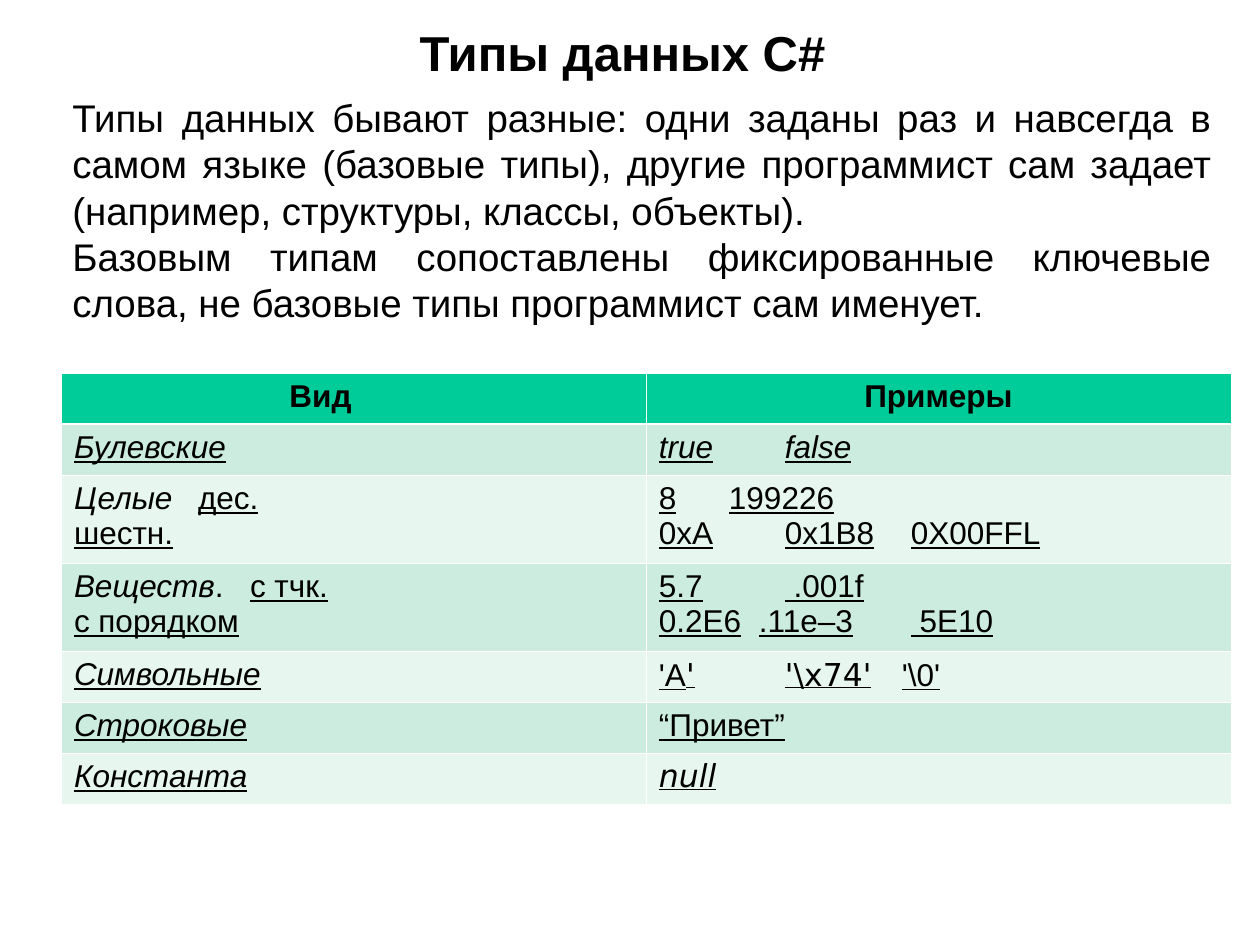
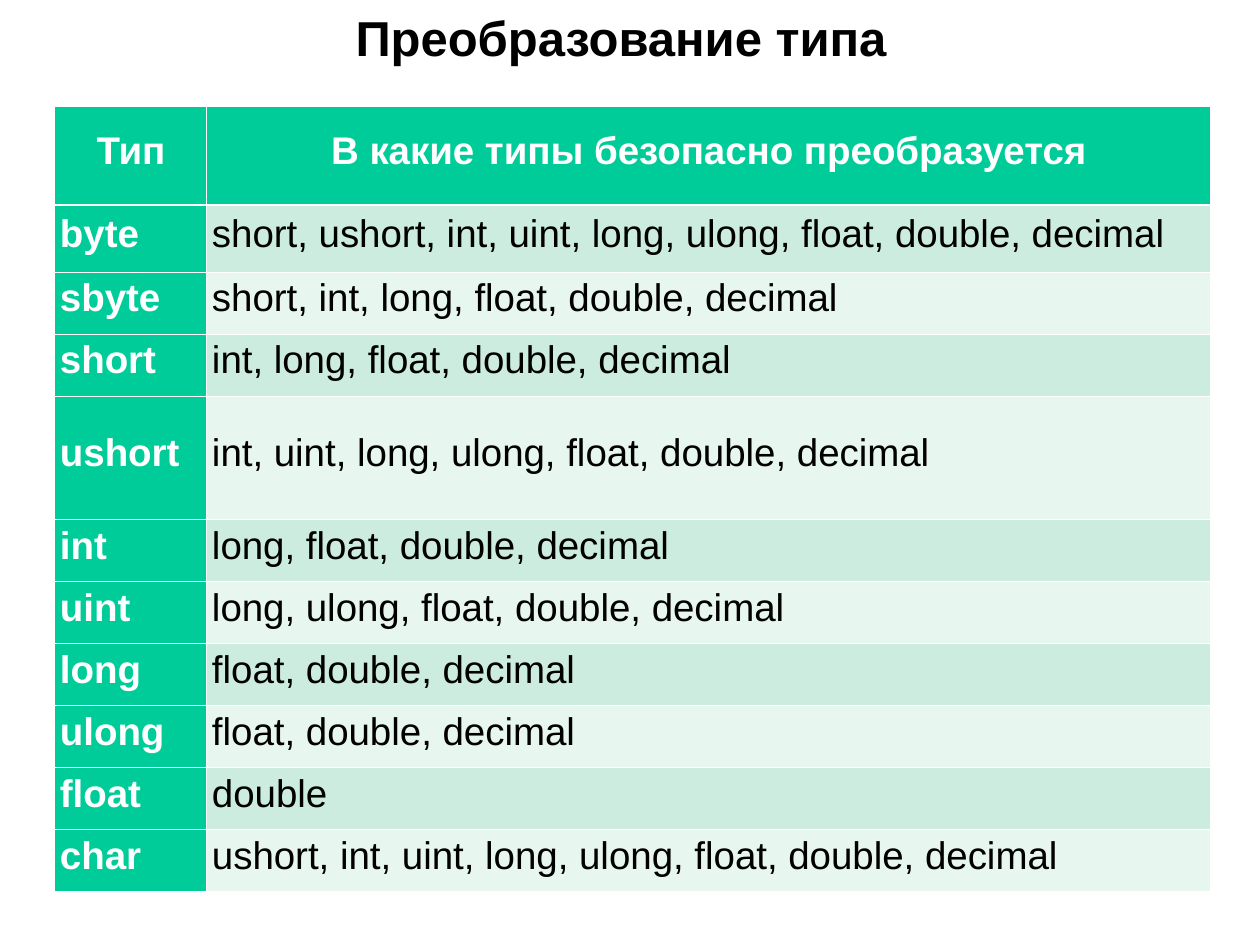
"""Build two slides on C# data types and safe type conversions."""

from dataclasses import dataclass
from typing import NamedTuple, Optional

import lxml.etree
import pptx
import pptx.dml.color
import pptx.enum.text
import pptx.oxml.ns
import pptx.util

PX_PER_INCH = 126
ALIGN = pptx.enum.text.PP_ALIGN
ANCHOR = pptx.enum.text.MSO_ANCHOR


@dataclass(frozen=True)
class Theme:
    """Colours, fonts, type sizes and line widths shared by the slides."""

    ink: str = "000000"
    paper: str = "FFFFFF"
    accent: str = "00CC99"
    bands: tuple[str, str] = ("CBECDE", "E7F6EF")
    font: str = "Arial"
    code_font: str = "DejaVu Sans"
    title_size: int = 28
    body_size: int = 22
    small_size: int = 18
    grid_width: float = 0.45
    header_rule_width: float = 1.47


THEME = Theme()


class Box(NamedTuple):
    """Position and size in px."""

    left: int
    top: int
    width: int
    height: int


class Run(NamedTuple):
    """A stretch of text with one format."""

    text: str
    bold: bool = False
    italic: bool = False
    underline: bool = False
    font: str = THEME.font
    color: str = THEME.ink


class Line(NamedTuple):
    """A paragraph and its tab stops in px."""

    runs: list[Run]
    tabs: tuple[int, ...] = ()


class CellText(NamedTuple):
    """The lines of a cell, their alignment and an extra right inset in px."""

    lines: list[Line]
    align: ALIGN = ALIGN.LEFT
    right_inset: int = 0


@dataclass(frozen=True)
class TableStyle:
    """Layout of a table's columns, insets and paragraphs."""

    columns: tuple[int, ...]
    insets: tuple[int, int, int, int]
    size: int
    anchor: ANCHOR = ANCHOR.TOP
    line_spacing: Optional[float] = None
    space_after: int = 0
    accent_first_column: bool = False


def px(length: int) -> pptx.util.Emu:
    """Convert px to EMU."""
    return pptx.util.Emu(round(length * pptx.util.Inches(1) / PX_PER_INCH))


def rgb(value: str) -> pptx.dml.color.RGBColor:
    """Convert a hex string to a colour."""
    return pptx.dml.color.RGBColor.from_string(value)


def add_child(parent, tag: str, **attributes: str):
    """Append an XML element with a prefixed tag."""
    return lxml.etree.SubElement(parent, pptx.oxml.ns.qn(tag), attributes)


def add_run(paragraph, run: Run, size: int) -> None:
    """Append one formatted run."""
    piece = paragraph.add_run()
    piece.text = run.text
    font = piece.font
    font.name, font.size = run.font, pptx.util.Pt(size)
    font.bold, font.italic, font.underline = run.bold, run.italic, run.underline
    font.color.rgb = rgb(run.color)


def write_lines(frame, lines: list[Line], size: int, align: ALIGN,
                line_spacing: Optional[float] = None, space_after: int = 0) -> None:
    """Fill a text frame, one paragraph a line."""
    for index, line in enumerate(lines):
        paragraph = frame.add_paragraph() if index else frame.paragraphs[0]
        if line.tabs:
            stops = add_child(paragraph._p.get_or_add_pPr(), "a:tabLst")
            for stop in line.tabs:
                add_child(stops, "a:tab", pos=str(px(stop)), algn="l")
        paragraph.alignment = align
        paragraph.space_before = pptx.util.Pt(0)
        paragraph.space_after = pptx.util.Pt(space_after)
        if line_spacing:
            paragraph.line_spacing = line_spacing
        for run in line.runs:
            add_run(paragraph, run, size)


def place(shape, box: Box) -> None:
    """Move and size a shape."""
    shape.left, shape.top, shape.width, shape.height = map(px, box)


def add_titled_slide(deck, title: str, box: Box, line_spacing: float = 1.0):
    """Add a title-only slide and format its title."""
    slide = deck.slides.add_slide(deck.slide_layouts[5])
    place(slide.shapes.title, box)
    frame = slide.shapes.title.text_frame
    frame.auto_size = pptx.enum.text.MSO_AUTO_SIZE.NONE
    frame.vertical_anchor = ANCHOR.MIDDLE
    write_lines(frame, [Line([Run(title, bold=True)])], THEME.title_size,
                ALIGN.CENTER, line_spacing)
    return slide


def add_borders(cell, row: int) -> None:
    """Draw white cell borders with a thicker rule under the header."""
    for side in ("L", "R", "T", "B"):
        under_header = (row, side) in ((0, "B"), (1, "T"))
        width = THEME.header_rule_width if under_header else THEME.grid_width
        border = add_child(cell._tc.get_or_add_tcPr(), f"a:ln{side}",
                           w=str(pptx.util.Pt(width)))
        add_child(add_child(border, "a:solidFill"), "a:srgbClr", val=THEME.paper)


def add_grid(slide, left: int, top: int, heights: list[int],
             rows: list[list[CellText]], style: TableStyle) -> None:
    """Add a table with an accent header and alternating bands."""
    box = Box(left, top, sum(style.columns), sum(heights))
    table = slide.shapes.add_table(len(rows), len(style.columns), *map(px, box)).table
    table.horz_banding = False
    for column, width in zip(table.columns, style.columns):
        column.width = px(width)
    for row_index, (row, height) in enumerate(zip(rows, heights)):
        table.rows[row_index].height = px(height)
        for column_index, content in enumerate(row):
            cell = table.cell(row_index, column_index)
            inset_left, inset_top, inset_right, inset_bottom = style.insets
            cell.margin_left, cell.margin_top = px(inset_left), px(inset_top)
            cell.margin_right = px(inset_right + content.right_inset)
            cell.margin_bottom = px(inset_bottom)
            cell.vertical_anchor = style.anchor
            add_borders(cell, row_index)
            accented = row_index == 0 or (style.accent_first_column and column_index == 0)
            cell.fill.solid()
            cell.fill.fore_color.rgb = rgb(
                THEME.accent if accented else THEME.bands[(row_index - 1) % 2])
            write_lines(cell.text_frame, content.lines, style.size, content.align,
                        style.line_spacing, style.space_after)


def marked(text: str, italic: bool = False, font: str = THEME.font) -> Run:
    """Make an underlined run."""
    return Run(text, italic=italic, underline=True, font=font)


def heading(text: str, color: str, right_inset: int = 0) -> CellText:
    """Make a centred bold header cell."""
    return CellText([Line([Run(text, bold=True, color=color)])], ALIGN.CENTER, right_inset)


def add_data_types_slide(deck) -> None:
    """Add the slide on kinds of data types and sample literals."""
    slide = add_titled_slide(deck, "Типы данных C#", Box(60, 16, 1125, 72))
    intro = slide.shapes.add_textbox(*map(px, Box(60, 88, 1164, 244))).text_frame
    intro.word_wrap = True
    write_lines(intro, [
        Line([Run("Типы данных бывают разные: одни заданы раз и навсегда в самом языке "
                  "(базовые типы), другие программист сам задает "
                  "(например, структуры, классы, объекты).")]),
        Line([Run("Базовым типам сопоставлены фиксированные ключевые слова, "
                  "не базовые типы программист сам именует.")]),
    ], THEME.body_size, ALIGN.JUSTIFY)

    inch_stops = (PX_PER_INCH, 2 * PX_PER_INCH)
    literal_kinds = [
        ([Line([marked("Булевские", italic=True)])],
         [Line([marked("true\tfalse", italic=True)], inch_stops)]),
        ([Line([Run("Целые\t", italic=True), marked("дес.")], (124,)),
          Line([marked("шестн.")])],
         [Line([marked("8\t199226")], (70,)),
          Line([marked("0xA\t0x1B8\t0X00FFL")], inch_stops)]),
        ([Line([Run("Веществ", italic=True), Run(".\t"), marked("с тчк.")], (176,)),
          Line([marked("с порядком")])],
         [Line([marked("5.7\t .001f")], inch_stops),
          Line([marked("0.2E6\t.11e–3\t 5E10")], (100, 252))]),
        ([Line([marked("Символьные", italic=True)])],
         [Line([marked("'A"), marked("'", font=THEME.code_font), marked("\t"),
                marked(r"'\x74'", font=THEME.code_font), marked("\t"),
                marked(r"'\0'")], (126, 243))]),
        ([Line([marked("Строковые", italic=True)])], [Line([marked("“Привет”")])]),
        ([Line([marked("Константа", italic=True)])],
         [Line([marked("null", italic=True, font=THEME.code_font)])]),
    ]
    rows = [[heading("Вид", THEME.ink, right_inset=66), heading("Примеры", THEME.ink)]]
    rows += [[CellText(kind), CellText(samples)] for kind, samples in literal_kinds]
    heights = [51 if len(row[0].lines) == 1 else 88 for row in rows]
    style = TableStyle((585, 585), (13, 6, 13, 6), THEME.small_size)
    add_grid(slide, 61, 373, heights, rows, style)


def add_conversion_slide(deck) -> None:
    """Add the slide on safe conversions."""
    slide = add_titled_slide(deck, "Преобразование типа", Box(54, 6, 1134, 68), 0.93)
    conversions = {
        "byte": "short, ushort, int, uint, long, ulong, float, double, decimal",
        "sbyte": "short, int, long, float, double, decimal",
        "short": "int, long, float, double, decimal",
        "ushort": "int, uint, long, ulong, float, double, decimal",
        "int": "long, float, double, decimal",
        "uint": "long, ulong, float, double, decimal",
        "long": "float, double, decimal",
        "ulong": "float, double, decimal",
        "float": "double",
        "char": "ushort, int, uint, long, ulong, float, double, decimal",
    }
    special_heights = {"byte": 67, "ushort": 124}
    rows = [[heading("Тип", THEME.paper),
             heading("В какие типы безопасно преобразуется", THEME.paper)]]
    rows += [[CellText([Line([Run(source, bold=True, color=THEME.paper)])]),
              CellText([Line([Run(targets)])])]
             for source, targets in conversions.items()]
    heights = [99] + [special_heights.get(source, 62) for source in conversions]
    style = TableStyle((152, 1004), (6, 6, 4, 6), THEME.body_size, ANCHOR.MIDDLE,
                       pptx.util.Pt(19.2), 8, accent_first_column=True)
    add_grid(slide, 54, 106, heights, rows, style)


def main() -> None:
    """Build and save the deck."""
    deck = pptx.Presentation()
    deck.slide_width, deck.slide_height = px(1260), px(945)
    add_data_types_slide(deck)
    add_conversion_slide(deck)
    deck.save("out.pptx")


if __name__ == "__main__":
    main()
